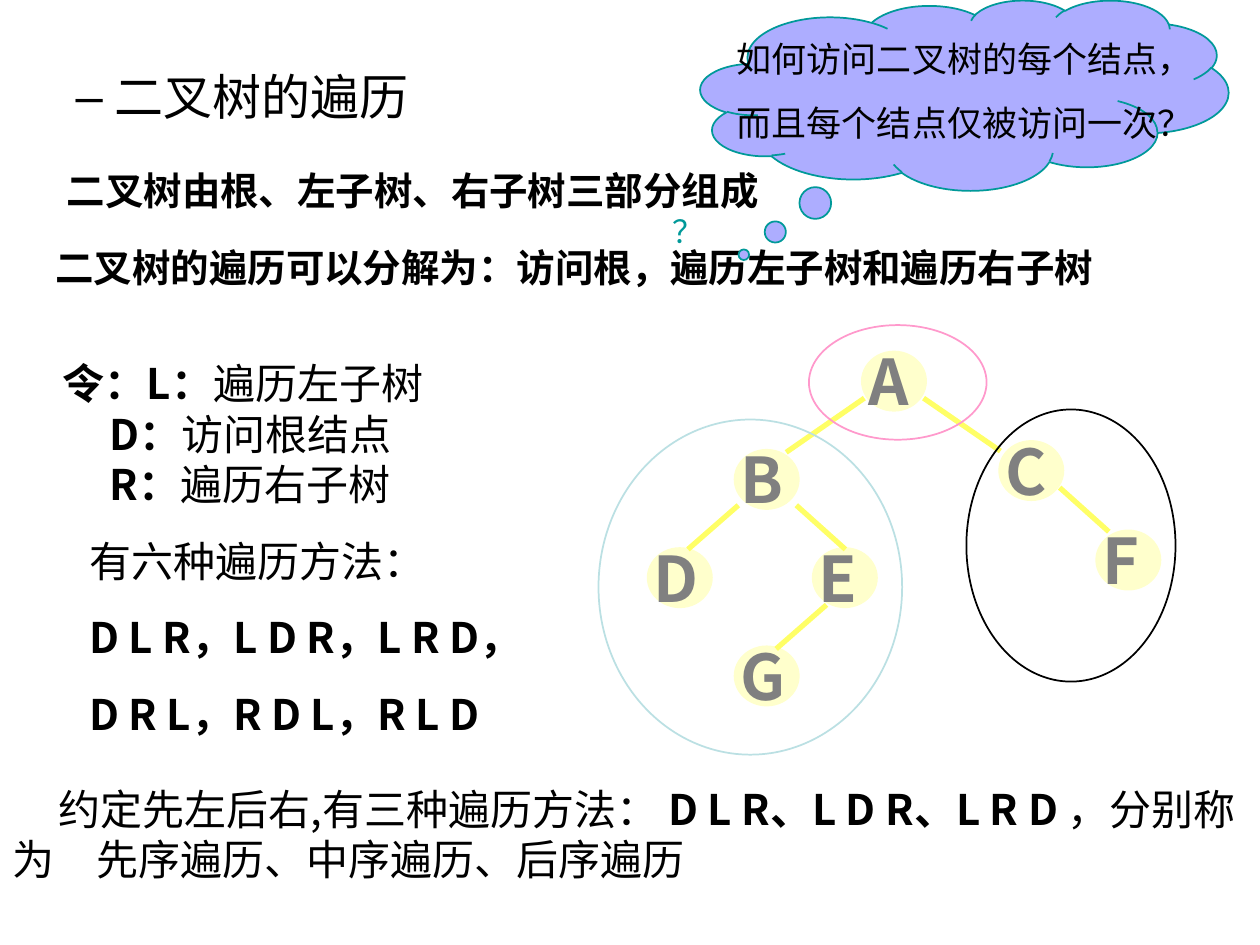
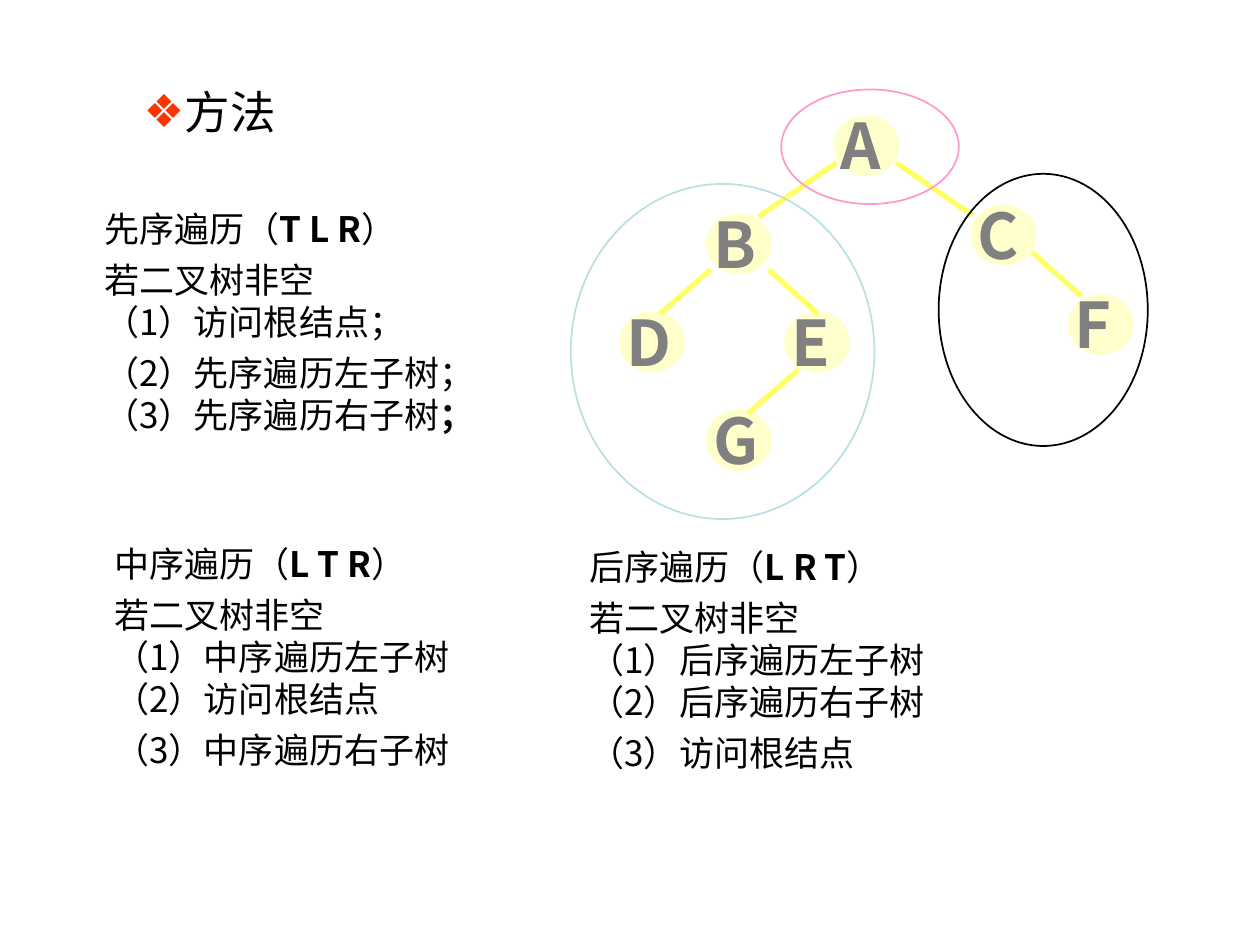
"""Build two slides on binary tree traversal."""
import dataclasses
import typing

import lxml.etree
import pptx
import pptx.dml.color
import pptx.enum.shapes
import pptx.enum.text
import pptx.oxml.ns
import pptx.util

Inches = pptx.util.Inches
Pt = pptx.util.Pt
SHAPE = pptx.enum.shapes.MSO_SHAPE
ALIGN = pptx.enum.text.PP_ALIGN
ANCHOR = pptx.enum.text.MSO_ANCHOR

COLORS = {
    "ink": "000000", "letter": "808080", "node": "FFFFCC", "edge": "FFFF66",
    "left": "BBE0E3", "root": "FF99CC", "cloud": "ADADFF", "teal": "009999",
    "bullet": "FF3300",
}
CJK = "Noto Sans CJK SC"
LINE_RATIO = 1.2


class Area(typing.NamedTuple):
    left: float
    top: float
    width: float
    height: float


class Edge(typing.NamedTuple):
    x1: float
    y1: float
    x2: float
    y2: float


class Ring(typing.NamedTuple):
    area: Area
    color: str


@dataclasses.dataclass
class Line:
    """One paragraph; asterisks switch bold on and off."""
    text: str
    before: float = 0
    margin: float = 0
    indent: float = 0


@dataclasses.dataclass
class Style:
    size: float
    color: str = "ink"
    font: str = CJK
    align: ALIGN = ALIGN.LEFT
    spacing: float = LINE_RATIO


NODES = {
    "D": (5.14, 4.35), "A": (6.84, 2.79), "F": (8.7, 4.21), "G": (5.83, 5.13),
    "E": (6.45, 4.35), "C": (7.93, 3.5), "B": (5.83, 3.57),
}
EDGES = [
    Edge(6.86, 3.16, 6.24, 3.59), Edge(7.33, 3.16, 7.94, 3.58),
    Edge(6.32, 4.01, 6.71, 4.36), Edge(6.56, 4.8, 6.16, 5.15),
    Edge(5.86, 4.01, 5.46, 4.36), Edge(8.41, 3.87, 8.8, 4.22),
]
RINGS = [
    Ring(Area(4.75, 3.33, 2.41, 2.66), "left"),
    Ring(Area(7.67, 3.25, 1.66, 2.16), "ink"),
    Ring(Area(6.42, 2.58, 1.41, 0.91), "root"),
]


def rgb(name: str) -> pptx.dml.color.RGBColor:
    """Look up a colour by its name."""
    return pptx.dml.color.RGBColor.from_string(COLORS[name])


def inches(values: typing.Iterable[float]) -> list:
    """Turn numbers into lengths."""
    return [Inches(value) for value in values]


def add_element(parent, tag: str, **attributes: str):
    """Append a drawing element."""
    return lxml.etree.SubElement(parent, pptx.oxml.ns.qn(tag), attributes)


def write(frame, lines: list[Line], style: Style) -> None:
    """Fill a text frame with formatted paragraphs."""
    for number, line in enumerate(lines):
        para = frame.add_paragraph() if number else frame.paragraphs[0]
        para.alignment = style.align
        para.line_spacing = Pt(round(style.size * style.spacing, 1))
        para.space_before = Pt(line.before)
        properties = para._p.get_or_add_pPr()
        properties.set("marL", str(Inches(line.margin)))
        properties.set("indent", str(Inches(line.indent)))
        for part, words in enumerate(line.text.split("*")):
            if not words:
                continue
            span = para.add_run()
            span.text = words
            span.font.size = Pt(style.size)
            span.font.bold = part % 2 == 1
            span.font.color.rgb = rgb(style.color)
            span.font.name = style.font
            add_element(span._r.get_or_add_rPr(), "a:ea", typeface=CJK)


def place(box, area: Area) -> None:
    """Move a placeholder and set its text at the top."""
    box.left, box.top, box.width, box.height = inches(area)
    box.text_frame.vertical_anchor = ANCHOR.TOP
    box.text_frame.auto_size = pptx.enum.text.MSO_AUTO_SIZE.NONE


def add_heading(page, area: Area, line: Line, size: float, mark: str, color: str) -> None:
    """Turn the title placeholder into a bulleted heading."""
    place(page.shapes.title, area)
    frame = page.shapes.title.text_frame
    write(frame, [line], Style(size, font="Arial"))
    properties = frame.paragraphs[0]._p.get_or_add_pPr()
    add_element(add_element(properties, "a:buClr"), "a:srgbClr", val=COLORS[color])
    add_element(properties, "a:buFont", typeface="Arial")
    add_element(properties, "a:buChar", char=mark)


def add_text(page, area: Area, lines: list[Line], style: Style):
    """Add a wrapping text box."""
    box = page.shapes.add_textbox(*inches(area))
    box.text_frame.word_wrap = True
    write(box.text_frame, lines, style)
    return box


def add_outline(page, kind: SHAPE, area: Area, line: str, fill: str | None = None):
    """Add a thinly outlined shape, filled or hollow."""
    shape = page.shapes.add_shape(kind, *inches(area))
    shape.shadow.inherit = False
    shape.line.color.rgb = rgb(line)
    shape.line.width = Pt(1)
    if fill:
        shape.fill.solid()
        shape.fill.fore_color.rgb = rgb(fill)
    else:
        shape.fill.background()
    return shape


def add_tree(page, dx: float = 0, dy: float = 0) -> None:
    """Draw the binary tree with rings around its three parts."""
    for letter, (left, top) in NODES.items():
        x, y = left + dx, top + dy
        add_outline(page, SHAPE.OVAL, Area(x, y, 0.51, 0.47), "node", "node")
        box = add_text(page, Area(x - 0.13, y - 0.12, 0.93, 0.7),
                       [Line(f"*{letter}*")], Style(36, "letter"))
        box.text_frame.margin_left = Inches(0.18)
    for edge in EDGES:
        ends = inches((edge.x1 + dx, edge.y1 + dy, edge.x2 + dx, edge.y2 + dy))
        link = page.shapes.add_connector(
            pptx.enum.shapes.MSO_CONNECTOR.STRAIGHT, *ends)
        link.line.color.rgb = rgb("edge")
        link.line.width = Pt(3)
        add_element(link._element.spPr, "a:effectLst")
    for ring in RINGS:
        area = ring.area._replace(left=ring.area.left + dx, top=ring.area.top + dy)
        add_outline(page, SHAPE.OVAL, area, ring.color)


def add_cloud(page) -> None:
    """Draw the thought cloud with its question."""
    cloud = add_outline(page, SHAPE.CLOUD_CALLOUT, Area(5.56, 0, 4.19, 1.51),
                        "teal", "cloud")
    cloud.adjustments[0] = -0.418
    cloud.adjustments[1] = 0.839
    frame = cloud.text_frame
    frame.word_wrap = False
    frame.vertical_anchor = ANCHOR.MIDDLE
    frame.margin_left = Inches(0.4)
    write(frame, [Line("如何访问二叉树的每个结点，"),
                  Line("而且每个结点仅被访问一次？", 12.5)],
          Style(20, align=ALIGN.CENTER))
    mark = add_text(page, Area(5.24, 1.51, 0.76, 0.65), [Line("？")], Style(18, "teal"))
    mark.text_frame.vertical_anchor = ANCHOR.MIDDLE


def build_overview(deck) -> None:
    """Build the slide that introduces traversal."""
    page = deck.slides.add_slide(deck.slide_layouts[1])
    add_heading(page, Area(0, 0.48, 5.5, 0.6),
                Line("二叉树的遍历", margin=0.81, indent=-0.31), 28, "–", "ink")
    body = page.placeholders[1]
    place(body, Area(0, 1.22, 9.3, 1.2))
    parts = [Line("*二叉树由根、左子树、右子树三部分组成*", margin=0.43),
             Line("*二叉树的遍历可以分解为：访问根，遍历左子树和遍历右子树*", 13.8, 0.34)]
    write(body.text_frame, parts, Style(22, spacing=1.38))
    for para in body.text_frame.paragraphs:
        add_element(para._p.get_or_add_pPr(), "a:buNone")
    add_cloud(page)
    add_text(page, Area(0.4, 2.79, 4.42, 3.13), [
        Line("*令：L：*遍历左子树"),
        Line("*D：*访问根结点", margin=0.37),
        Line("*R：*遍历右子树", margin=0.37),
        Line("有六种遍历方法：", 15, 0.21),
        Line("*D L R，L D R，L R D，*", 15, 0.21),
        Line("*D R L，R D L，R L D*", 15, 0.21),
    ], Style(24))
    add_tree(page)
    add_text(page, Area(0, 6.17, 10, 0.9), [Line(
        "约定先左后右,有三种遍历方法： *D L R、L D R、L R D *，"
        "分别称为　先序遍历、中序遍历、后序遍历", indent=0.37)], Style(24))


def build_methods(deck) -> None:
    """Build the slide that lists the three traversal orders."""
    page = deck.slides.add_slide(deck.slide_layouts[5])
    add_heading(page, Area(0.26, 0.62, 5, 0.5),
                Line("方法", margin=1.08, indent=-0.3), 26, "❖", "bullet")
    methods = [
        (Area(0.73, 1.6, 3.8, 1.94), "先序", "T L R", 1,
         ["访问根结点；", "先序遍历左子树；", "先序遍历右子树*；*"]),
        (Area(0.81, 4.26, 3.7, 1.91), "中序", "L T R", 2,
         ["中序遍历左子树", "访问根结点", "中序遍历右子树"]),
        (Area(4.58, 4.28, 5.42, 1.91), "后序", "L R T", 2,
         ["后序遍历左子树", "后序遍历右子树", "访问根结点"]),
    ]
    for area, order, code, gap_after, steps in methods:
        lines = [Line(f"{order}遍历（*{code}*）"), Line("若二叉树非空", 5)]
        lines += [Line(f"（{number + 1}）{step}", 5 if number == gap_after else 0)
                  for number, step in enumerate(steps)]
        add_text(page, area, lines, Style(20))
    add_tree(page, -0.22, -1.87)


def main() -> None:
    """Build and save the deck."""
    deck = pptx.Presentation()
    deck.slide_width, deck.slide_height = Inches(10), Inches(7.5)
    build_overview(deck)
    build_methods(deck)
    deck.save("out.pptx")


if __name__ == "__main__":
    main()
